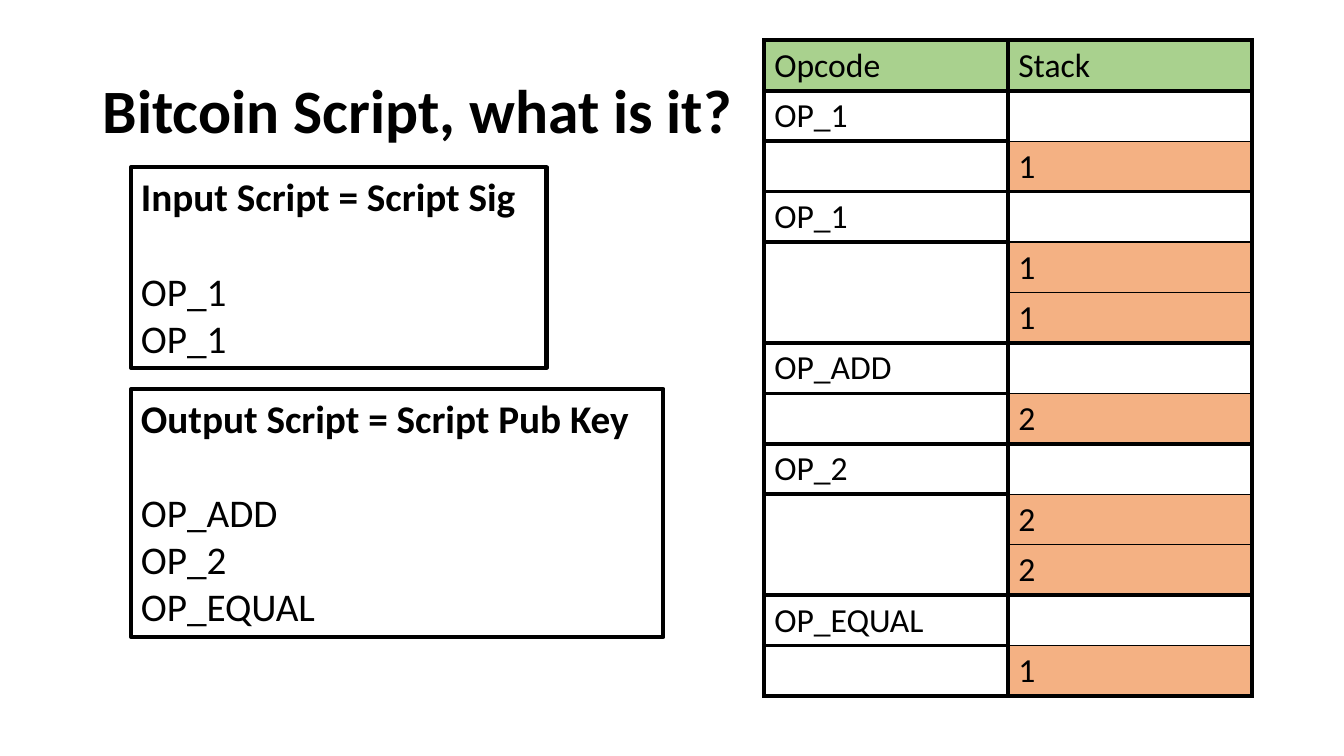
from lxml import etree
from pptx import Presentation
from pptx.dml.color import RGBColor
from pptx.enum import shapes, text
from pptx.oxml import ns
from pptx.util import Inches, Pt

TITLE = "Bitcoin Script, what is it?"
SCRIPTS = [  # heading, opcodes, (left, top, width, height)
    ("Input Script = Script Sig", ["OP_1", "OP_1"], (1.3, 1.66, 4.12, 1.99)),
    ("Output Script = Script Pub Key", ["OP_ADD", "OP_2", "OP_EQUAL"],
     (1.3, 3.86, 5.28, 2.46)),
]
HEADERS = ("Opcode", "Stack")
STEPS = [  # opcode, stack after it runs
    ("OP_1", ["1"]),
    ("OP_1", ["1", "1"]),
    ("OP_ADD", ["2"]),
    ("OP_2", ["2", "2"]),
    ("OP_EQUAL", ["1"]),
]
TABLE_LEFT, TABLE_TOP, COL_WIDTH, ROW_HEIGHT = 7.58, 0.4, 2.42, 0.5
BLACK, GREEN, ORANGE = "000000", "A9D18E", "F4B183"
THICK, THIN, NONE = 3, 1, 0
BLANK_LINE = 34  # height in points of one line of 28 pt text


def rgb(value):
    return RGBColor.from_string(value)


def write(p, content, size, bold=False, before=0, spacing=None):
    if before:
        p.space_before = Pt(before)
    if spacing:
        p.line_spacing = spacing
    r = p.add_run()
    r.text = content
    r.font.name, r.font.size, r.font.bold = "Calibri", Pt(size), bold
    r.font.color.rgb = rgb(BLACK)


def add_border(cell, side, width):
    tc_pr = cell._tc.get_or_add_tcPr()
    ln = etree.SubElement(tc_pr, ns.qn("a:ln" + side), w=str(Pt(width)))
    if width:
        fill = etree.SubElement(ln, ns.qn("a:solidFill"))
        etree.SubElement(fill, ns.qn("a:srgbClr"), val=BLACK)
    else:
        etree.SubElement(ln, ns.qn("a:noFill"))


def fill_cell(cell, content, fill=None, top=THICK, bottom=THICK):
    for side, width in zip("LRTB", (THICK, THICK, top, bottom)):
        add_border(cell, side, width)
    if fill:
        cell.fill.solid()
        cell.fill.fore_color.rgb = rgb(fill)
    else:
        cell.fill.background()
    if content:
        write(cell.text_frame.paragraphs[0], content, 24)


def add_title(s):
    tf = s.shapes.add_textbox(*map(Inches, (0.92, 0.4, 11.5, 1.45))).text_frame
    tf.word_wrap = True
    tf.vertical_anchor = text.MSO_ANCHOR.MIDDLE
    write(tf.paragraphs[0], TITLE, 44, bold=True, spacing=0.9)


def add_script(s, heading, opcodes, box):
    sp = s.shapes.add_shape(shapes.MSO_SHAPE.RECTANGLE, *map(Inches, box))
    sp.shadow.inherit = False
    sp.fill.background()
    sp.line.color.rgb = rgb(BLACK)
    sp.line.width = Pt(THICK)
    tf = sp.text_frame
    tf.word_wrap = True
    tf.vertical_anchor = text.MSO_ANCHOR.TOP
    write(tf.paragraphs[0], heading, 28, bold=True)
    for i, opcode in enumerate(opcodes):
        write(tf.add_paragraph(), opcode, 28, before=0 if i else BLANK_LINE)
    for p in tf.paragraphs:
        p.alignment = text.PP_ALIGN.LEFT


def add_trace(s):
    """Table that runs the opcodes one by one beside the stack."""
    rows = 1 + sum(1 + len(stack) for _, stack in STEPS)
    size = (2 * COL_WIDTH, rows * ROW_HEIGHT)
    table = s.shapes.add_table(
        rows, 2, *map(Inches, (TABLE_LEFT, TABLE_TOP, *size))).table
    table.first_row = table.horz_banding = False
    for col, header in enumerate(HEADERS):
        fill_cell(table.cell(0, col), header, GREEN)
    row = 1
    for opcode, stack in STEPS:
        fill_cell(table.cell(row, 0), opcode)
        fill_cell(table.cell(row, 1), "", bottom=THIN)
        for i, value in enumerate(stack, 1):
            last = i == len(stack)
            fill_cell(table.cell(row + i, 0), "",
                      top=THICK if i == 1 else NONE,
                      bottom=THICK if last else NONE)
            fill_cell(table.cell(row + i, 1), value, ORANGE,
                      top=THIN, bottom=THICK if last else THIN)
        row += 1 + len(stack)


def main():
    prs = Presentation()
    prs.slide_width, prs.slide_height = Inches(13.33), Inches(7.5)
    s = prs.slides.add_slide(prs.slide_layouts[6])
    add_title(s)
    for script in SCRIPTS:
        add_script(s, *script)
    add_trace(s)
    prs.save("out.pptx")


if __name__ == "__main__":
    main()
